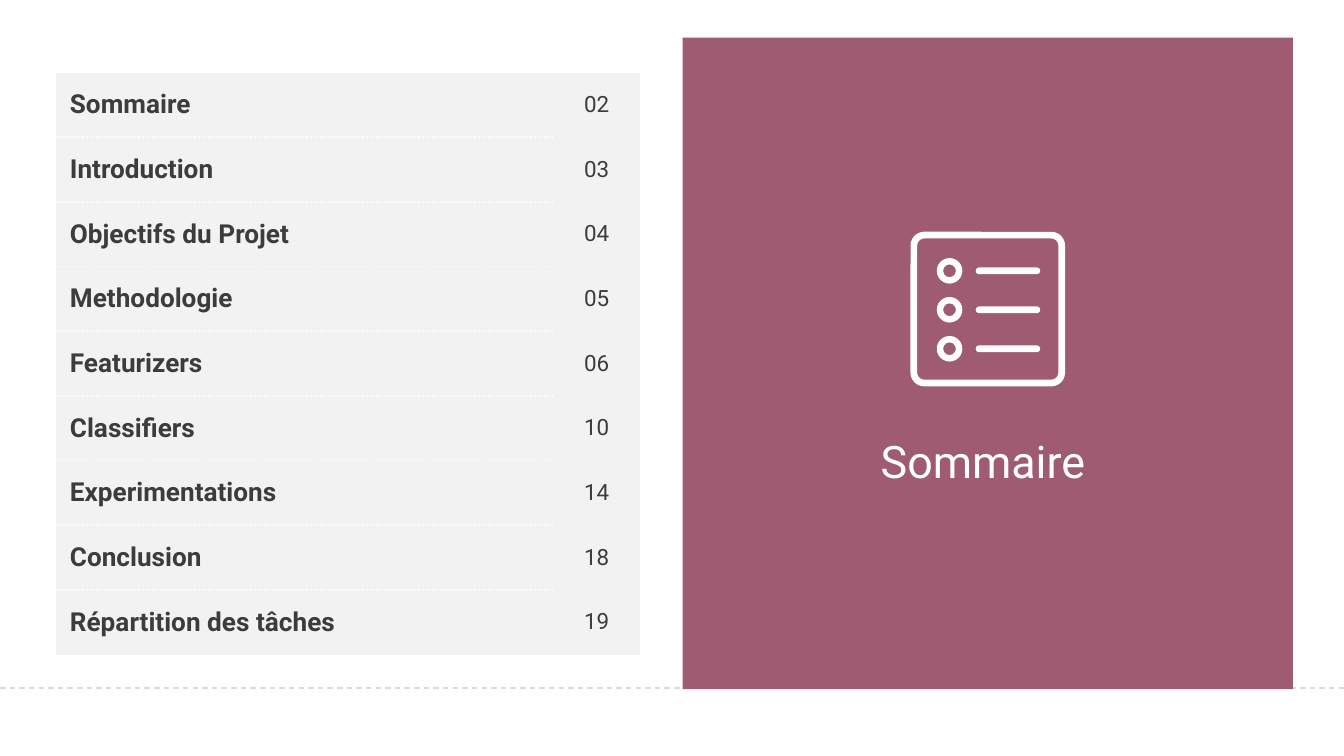
from dataclasses import dataclass

from pptx import Presentation
from pptx.dml.color import RGBColor
from pptx.enum.dml import MSO_LINE
from pptx.enum.shapes import MSO_CONNECTOR, MSO_SHAPE
from pptx.enum.text import MSO_ANCHOR, MSO_AUTO_SIZE, PP_ALIGN
from pptx.oxml import parse_xml
from pptx.oxml.ns import nsdecls, qn
from pptx.util import Inches, Pt

RECTANGLE = MSO_SHAPE.RECTANGLE
ROUNDED = MSO_SHAPE.ROUNDED_RECTANGLE
DONUT = MSO_SHAPE.DONUT
STRAIGHT = MSO_CONNECTOR.STRAIGHT
DASH = MSO_LINE.DASH
MIDDLE = MSO_ANCHOR.MIDDLE
FIXED_SIZE = MSO_AUTO_SIZE.NONE
LEFT, CENTER = PP_ALIGN.LEFT, PP_ALIGN.CENTER
NO_TABLE_STYLE = "{2D5ABB26-0587-4C30-8999-92F81FD0307C}"


@dataclass
class Theme:
    font: str = "Roboto"
    white: RGBColor = RGBColor.from_string("FFFFFF")
    accent: RGBColor = RGBColor.from_string("9F5B72")
    ink: RGBColor = RGBColor.from_string("3C3C3C")
    cell: RGBColor = RGBColor.from_string("F2F2F2")
    rule: RGBColor = RGBColor.from_string("D9D9D9")
    title: int = 24
    entry: int = 14
    number: int = 12


theme = Theme()
ENTRIES = [
    ("Sommaire", "02"),
    ("Introduction", "03"),
    ("Objectifs du Projet", "04"),
    ("Methodologie", "05"),
    ("Featurizers", "06"),
    ("Classifiers", "10"),
    ("Experimentations", "14"),
    ("Conclusion", "18"),
    ("Répartition des tâches", "19"),
]


def add_filled(shapes, kind, left, top, width, height, color):
    shape = shapes.add_shape(kind, Inches(left), Inches(top), Inches(width), Inches(height))
    shape.shadow.inherit = False
    shape.fill.solid()
    shape.fill.fore_color.rgb = color
    shape.line.fill.background()
    return shape


def write(frame, text, size, color, align, bold=False):
    frame.text = text
    para = frame.paragraphs[0]
    para.alignment = align
    font = para.runs[0].font
    font.name, font.size, font.bold = theme.font, Pt(size), bold
    font.color.rgb = color


deck = Presentation()
deck.slide_width = Inches(10)
deck.slide_height = deck.slide_width * 9 // 16
page = deck.slides.add_slide(deck.slide_layouts[5])

# Dashed footer rule and accent panel
rule = page.shapes.add_connector(STRAIGHT, 0, Inches(5.12), Inches(10), Inches(5.12))
rule.line.color.rgb = theme.rule
rule.line.width = Pt(0.75)
rule.line.dash_style = DASH
rule.element.spPr.append(parse_xml(f"<a:effectLst {nsdecls('a')}/>"))
add_filled(page.shapes, RECTANGLE, 5.08, 0.28, 4.54, 4.85, theme.accent)

# Contents table, with dotted rules between the entries
table_frame = page.shapes.add_table(
    len(ENTRIES), 2, Inches(0.42), Inches(0.54), Inches(4.34), Inches(4.33))
table = table_frame.table
table.first_row = table.horz_banding = False
for style in table_frame.element.iter(qn("a:tableStyleId")):
    style.text = NO_TABLE_STYLE
table.columns[0].width, table.columns[1].width = Inches(3.7), Inches(0.64)

for row, (entry, number) in enumerate(ENTRIES):
    name_cell, number_cell = table.cell(row, 0), table.cell(row, 1)
    for cell in (name_cell, number_cell):
        cell.vertical_anchor = MIDDLE
        cell.margin_left = cell.margin_right = Inches(0.1)
        cell.margin_top = cell.margin_bottom = Inches(0.1)
        cell.fill.solid()
        cell.fill.fore_color.rgb = theme.cell
    write(name_cell.text_frame, entry, theme.entry, theme.ink, LEFT, bold=True)
    write(number_cell.text_frame, number, theme.number, theme.ink, CENTER)

    # Borders must precede the fill in the cell properties
    edges = ["lnT"] * (row > 0) + ["lnB"] * (row < len(ENTRIES) - 1)
    for position, edge in enumerate(edges):
        border = parse_xml(
            f'<a:{edge} {nsdecls("a")} w="{Pt(1)}"><a:solidFill>'
            f'<a:srgbClr val="{theme.white}"/></a:solidFill>'
            f'<a:prstDash val="sysDot"/></a:{edge}>')
        name_cell._tc.tcPr.insert(position, border)

# List icon: a rounded frame holding three bulleted lines
icon = page.shapes.add_group_shape()
frame = add_filled(icon.shapes, ROUNDED, 6.8, 1.75, 1.1, 1.1, theme.white)
frame.adjustments[0] = 0.07
frame.fill.background()
frame.line.color.rgb = theme.white
frame.line.width = Inches(0.05)
for item in range(3):
    top = 1.92 + item * 0.29
    ring = add_filled(icon.shapes, DONUT, 6.97, top, 0.19, 0.19, theme.white)
    ring.adjustments[0] = 0.25
    bar = add_filled(icon.shapes, ROUNDED, 7.26, top + 0.07, 0.48, 0.05, theme.white)
    bar.adjustments[0] = 0.5

# Title, brought in front of the panel
title = page.shapes.title
title.left, title.top = Inches(5.52), Inches(3.23)
title.width, title.height = Inches(3.67), Inches(0.4)
text = title.text_frame
text.margin_left = text.margin_right = text.margin_top = text.margin_bottom = 0
text.word_wrap = True
text.auto_size = FIXED_SIZE
text.vertical_anchor = MIDDLE
write(text, "Sommaire ", theme.title, theme.white, CENTER)
page.shapes.element.append(title.element)

# White strip below the footer rule
add_filled(page.shapes, RECTANGLE, 0, 5.13, 10, 0.5, theme.white)

deck.save("out.pptx")
